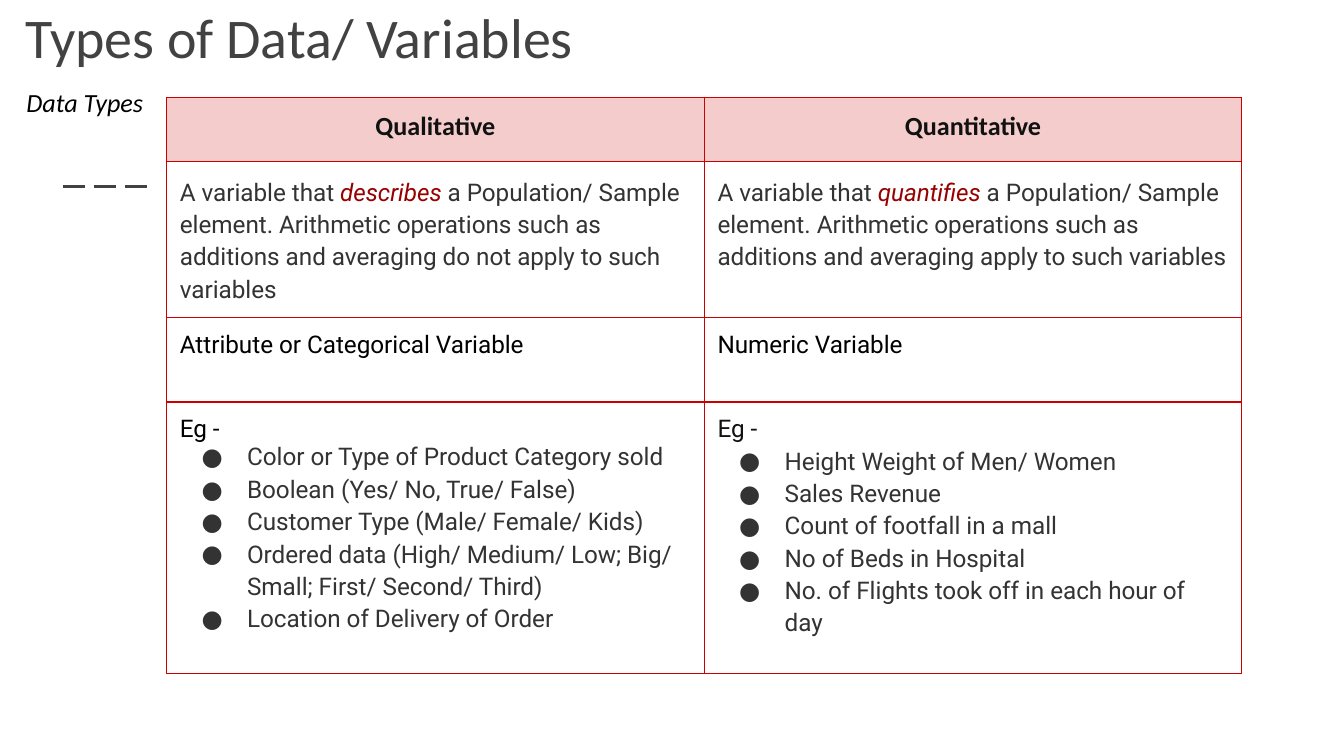
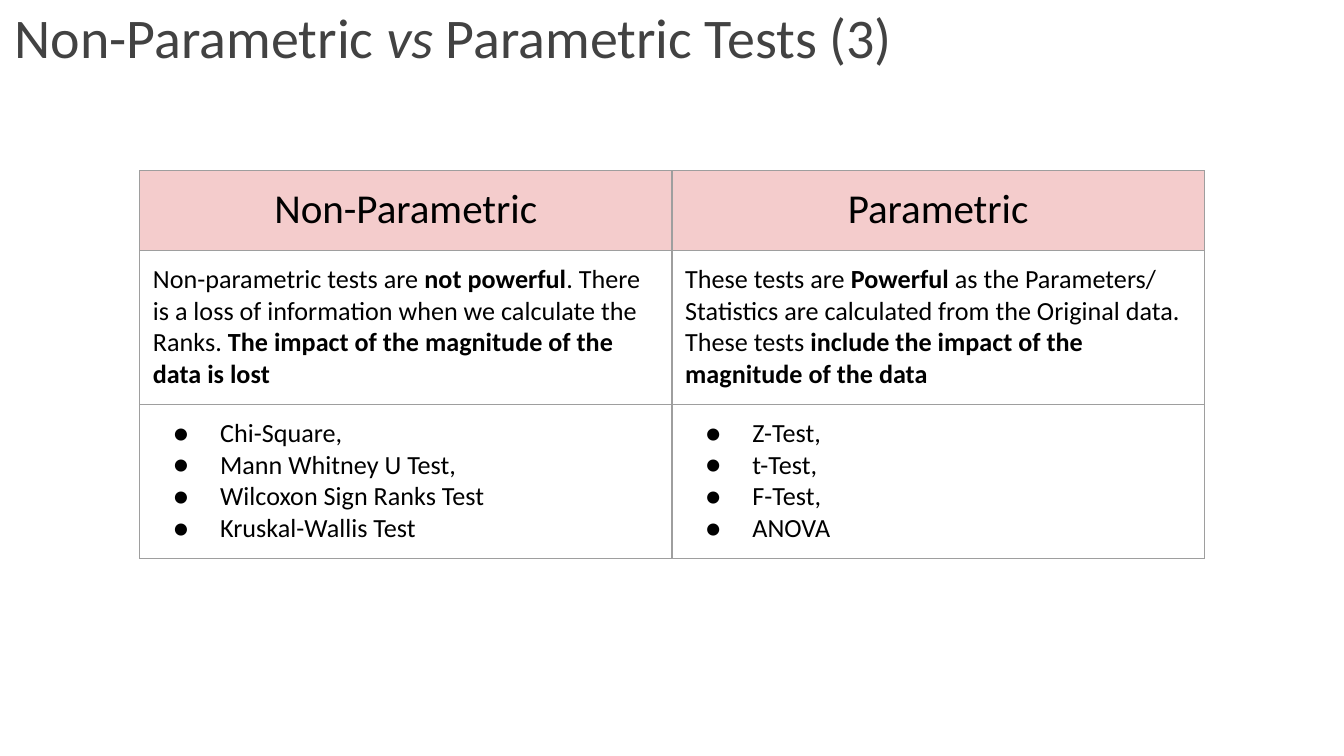
from dataclasses import dataclass
from lxml.etree import SubElement
from pptx import Presentation
from pptx.dml.color import RGBColor
from pptx.enum.dml import MSO_LINE
from pptx.enum.shapes import MSO_CONNECTOR
from pptx.enum.text import MSO_ANCHOR, MSO_AUTO_SIZE, PP_ALIGN
from pptx.oxml.ns import qn
from pptx.util import Cm, Pt

SLATE = RGBColor(0x42, 0x42, 0x42)
BLACK = RGBColor(0x00, 0x00, 0x00)
INK = RGBColor(0x11, 0x11, 0x11)
CHARCOAL = RGBColor(0x33, 0x33, 0x33)
MAROON = RGBColor(0x98, 0x00, 0x00)
RED = RGBColor(0xCC, 0x00, 0x00)
GRAY = RGBColor(0x9E, 0x9E, 0x9E)
PINK = RGBColor(0xF4, 0xCC, 0xCC)

TITLE_ONLY = 5
INSET = Cm(0.25)
BORDER_WIDTH = Pt(0.75)


@dataclass
class Span:
    text: str
    bold: bool = False
    italic: bool = False
    color: RGBColor = None


@dataclass
class Style:
    """Look of a paragraph; an indent makes it a bulleted one."""
    font: str
    size: int
    color: RGBColor
    align: PP_ALIGN = PP_ALIGN.LEFT
    spacing: float = 1.0
    after: int = 0
    indent: Cm = None


@dataclass
class Line:
    style: Style
    spans: list


TITLE = Style("Calibri", 30, SLATE)
LABEL = Style("Calibri", 14, BLACK, spacing=1.15, after=16)
TYPE_HEAD = Style("Calibri", 14, INK, PP_ALIGN.CENTER)
DEFINITION = Style("Roboto", 13, CHARCOAL, spacing=1.15, after=16)
KIND = Style("Roboto", 13, BLACK)
EXAMPLE_INK = Style("Roboto", 13, INK)
FIRST_EXAMPLE = Style("Roboto", 13, CHARCOAL, indent=Cm(0.86))
EXAMPLE = Style("Roboto", 13, CHARCOAL, spacing=1.15, indent=Cm(0.86))
TEST_HEAD = Style("Calibri", 22, BLACK, PP_ALIGN.CENTER)
TEST_TEXT = Style("Calibri", 14, BLACK)
TEST_ITEM = Style("Calibri", 14, BLACK, indent=Cm(0.89))


def line(style, *spans):
    return Line(style, [Span(s) if isinstance(s, str) else s for s in spans])


def lines(style, *texts):
    return [line(style, text) for text in texts]


class SlideBuilder:
    def __init__(self):
        self.deck = Presentation()
        self.deck.slide_width = Cm(25.4)
        self.deck.slide_height = Cm(14.29)
        self.page = None

    def start(self, left, *spans):
        """Adds a slide and sets its title at the given left edge."""
        layout = self.deck.slide_layouts[TITLE_ONLY]
        self.page = self.deck.slides.add_slide(layout)
        title = self.page.shapes.title
        title.left, title.top = left, Cm(-0.03)
        title.width, title.height = Cm(23.67), Cm(1.6)
        self.fill_frame(title.text_frame, [line(TITLE, *spans)])
        title.text_frame.vertical_anchor = MSO_ANCHOR.BOTTOM

    def fill_frame(self, frame, content):
        frame.word_wrap = True
        frame.auto_size = MSO_AUTO_SIZE.NONE
        self.set_margins(frame)
        self.add_lines(frame, content)

    def set_margins(self, holder):
        holder.margin_left = holder.margin_right = INSET
        holder.margin_top = holder.margin_bottom = INSET

    def add_lines(self, frame, content):
        for index, item in enumerate(content):
            para = frame.add_paragraph() if index else frame.paragraphs[0]
            style = item.style
            if style.indent:
                self.add_bullet(para, style)
            para.alignment = style.align
            para.line_spacing = style.spacing
            para.space_before = Pt(0)
            para.space_after = Pt(style.after)
            for span in item.spans:
                run = para.add_run()
                run.text = span.text
                run.font.name = style.font
                run.font.size = Pt(style.size)
                run.font.bold = span.bold
                run.font.italic = span.italic
                run.font.color.rgb = span.color or style.color

    def add_bullet(self, para, style):
        properties = para._p.get_or_add_pPr()
        properties.set("marL", str(Cm(1.27)))
        properties.set("indent", str(-style.indent))
        color = SubElement(properties, qn("a:buClr"))
        SubElement(color, qn("a:srgbClr"), val=str(style.color))
        SubElement(properties, qn("a:buFont"), typeface=style.font)
        SubElement(properties, qn("a:buChar"), char="●")

    def add_border(self, cell, color):
        properties = cell._tc.get_or_add_tcPr()
        for side in ("lnL", "lnR", "lnT", "lnB"):
            edge = SubElement(properties, qn(f"a:{side}"), w=str(BORDER_WIDTH))
            fill = SubElement(edge, qn("a:solidFill"))
            SubElement(fill, qn("a:srgbClr"), val=str(color))

    def add_table(self, left, top, column_width, row_heights, border, rows):
        columns = len(rows[0])
        table = self.page.shapes.add_table(
            len(rows), columns, left, top,
            column_width * columns, sum(row_heights)).table
        table.first_row = table.horz_banding = False
        for column in table.columns:
            column.width = column_width
        for row, height in zip(table.rows, row_heights):
            row.height = height
        for row_index, row in enumerate(rows):
            for column_index, content in enumerate(row):
                cell = table.cell(row_index, column_index)
                self.set_margins(cell)
                self.add_border(cell, border)
                if row_index == 0:
                    cell.fill.solid()
                    cell.fill.fore_color.rgb = PINK
                else:
                    cell.fill.background()
                self.add_lines(cell.text_frame, content)

    def add_text(self, left, top, width, height, content):
        box = self.page.shapes.add_textbox(left, top, width, height)
        self.fill_frame(box.text_frame, content)

    def add_dashes(self, left, right, top):
        rule = self.page.shapes.add_connector(
            MSO_CONNECTOR.STRAIGHT, left, top, right, top)
        rule.line.color.rgb = SLATE
        rule.line.width = Pt(1.5)
        rule.line.dash_style = MSO_LINE.LONG_DASH
        SubElement(rule._element.spPr, qn("a:effectLst"))


def definition(verb, ending):
    return [line(
        DEFINITION, "A variable that ", Span(verb, italic=True, color=MAROON),
        " a Population/ Sample element. Arithmetic operations such as "
        f"additions and averaging {ending} to such variables")]


def build_data_types(builder):
    builder.start(Cm(0.23), "Types of Data/ Variables")
    builder.add_dashes(Cm(1.19), Cm(2.9), Cm(3.53))
    qualitative = lines(KIND, "Eg -")
    qualitative += lines(FIRST_EXAMPLE, "Color or Type of Product Category sold")
    qualitative += lines(
        EXAMPLE, "Boolean (Yes/ No, True/ False)",
        "Customer Type (Male/ Female/ Kids)",
        "Ordered data (High/ Medium/ Low; Big/ Small; First/ Second/ Third)",
        "Location of Delivery of Order")
    quantitative = lines(EXAMPLE_INK, "Eg -")
    quantitative += lines(
        EXAMPLE, "Height Weight of Men/ Women", "Sales Revenue",
        "Count of footfall in a mall", "No of Beds in Hospital",
        "No. of Flights took off in each hour of day")
    builder.add_table(
        Cm(3.15), Cm(1.85), Cm(10.16),
        [Cm(1.2), Cm(2.95), Cm(1.6), Cm(5.13)], RED,
        [[[line(TYPE_HEAD, Span(name, bold=True))]
          for name in ("Qualitative", "Quantitative")],
         [definition("describes", "do not apply"),
          definition("quantifies", "apply")],
         [lines(KIND, "Attribute or Categorical Variable"),
          lines(KIND, "Numeric Variable")],
         [qualitative, quantitative]])
    builder.add_text(Cm(0.25), Cm(1.3), Cm(11.5), Cm(1.24),
                     [line(LABEL, Span("Data Types", italic=True))])


def build_tests(builder):
    builder.start(Cm(0.03), "Non-Parametric ", Span("vs ", italic=True),
                  "Parametric Tests (3)")
    weak = line(
        TEST_TEXT, "Non-parametric tests are ", Span("not powerful", bold=True),
        ". There is a loss of information when we calculate the Ranks. ",
        Span("The impact of the magnitude of the data is lost", bold=True))
    strong = line(
        TEST_TEXT, "These tests are ", Span("Powerful", bold=True),
        " as the Parameters/ Statistics are calculated from the Original data. "
        "These tests ",
        Span("include the impact of the magnitude of the data", bold=True))
    builder.add_table(
        Cm(2.64), Cm(3.23), Cm(10.06), [Cm(1.5), Cm(2.91), Cm(2.91)], GRAY,
        [[lines(TEST_HEAD, "Non-Parametric"), lines(TEST_HEAD, "Parametric")],
         [[weak], [strong]],
         [lines(TEST_ITEM, "Chi-Square,", "Mann Whitney U Test,",
                "Wilcoxon Sign Ranks Test", "Kruskal-Wallis Test"),
          lines(TEST_ITEM, "Z-Test,", "t-Test,", "F-Test,", "ANOVA")]])


def main():
    builder = SlideBuilder()
    build_data_types(builder)
    build_tests(builder)
    builder.deck.save("out.pptx")


if __name__ == "__main__":
    main()
